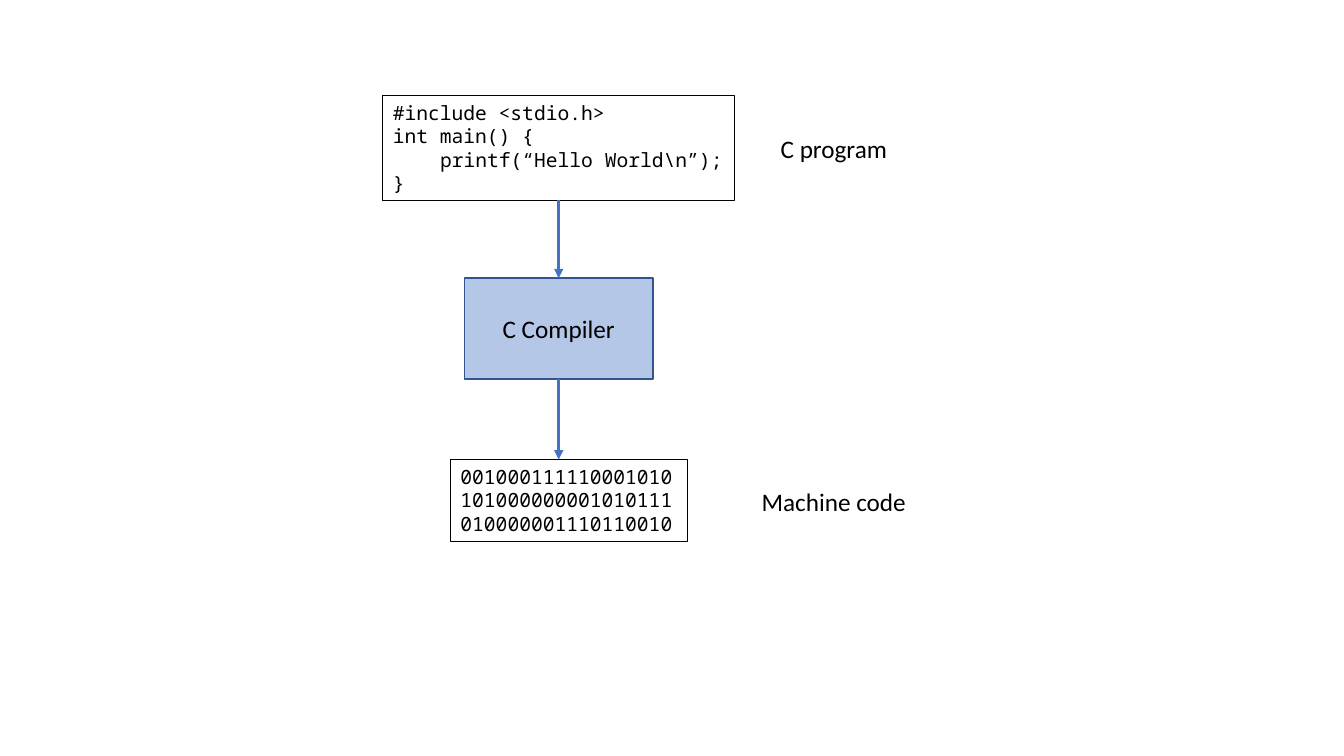
"""Builds a slide showing how a C program is compiled to machine code."""
from dataclasses import dataclass

from lxml import etree
from pptx import Presentation
from pptx import util as u
from pptx.dml.color import RGBColor
from pptx.enum import shapes, text
from pptx.oxml import ns

MONO = "Noto Sans Mono"
SANS = "Calibri"
BLACK = "000000"
ARROW_BLUE = "4472C4"
FLOW_X = 14.08
LABEL_X = 21.04
LABEL_HEIGHT = 1.02


@dataclass
class Stage:
    lines: list[str]
    center: float
    top: float
    width: float
    height: float
    font: str = MONO
    size: float = 14
    fill: str | None = None
    line: str = BLACK
    line_width: float = 0.75
    wrap: bool = True
    grow: bool = True
    align: text.PP_ALIGN = text.PP_ALIGN.LEFT
    anchor: text.MSO_ANCHOR = text.MSO_ANCHOR.TOP
    indents: tuple[float, ...] = ()


@dataclass
class Label:
    caption: str
    top: float
    width: float


STAGES = [
    Stage(["#include <stdio.h>", "int main() {", "printf(“Hello World\\n”);", "}"],
          FLOW_X, 2.41, 8.86, 2.64, wrap=False, indents=(0, 0, 1.19, 0)),
    Stage(["C Compiler"], FLOW_X, 7.01, 4.76, 2.54, font=SANS, size=18,
          fill="B4C7E7", line="325491", line_width=1, grow=False,
          align=text.PP_ALIGN.CENTER, anchor=text.MSO_ANCHOR.MIDDLE),
    Stage(["001000111110001010101000000001010111010000001110110010"],
          14.34, 11.58, 5.97, 2.06),
]
LABELS = [Label("C program", 3.23, 3.23), Label("Machine code", 12.12, 4.19)]


def color(value: str) -> RGBColor:
    return RGBColor.from_string(value)


def write(sp, lines: list[str], *, font: str = SANS, size: float = 18,
          wrap: bool = False, grow: bool = True,
          align: text.PP_ALIGN = text.PP_ALIGN.LEFT,
          anchor: text.MSO_ANCHOR = text.MSO_ANCHOR.TOP,
          indents: tuple[float, ...] = ()) -> None:
    tf = sp.text_frame
    tf.word_wrap = wrap
    tf.auto_size = text.MSO_AUTO_SIZE.SHAPE_TO_FIT_TEXT if grow else text.MSO_AUTO_SIZE.NONE
    tf.vertical_anchor = anchor
    for i, line in enumerate(lines):
        p = tf.add_paragraph() if i else tf.paragraphs[0]
        p.alignment = align
        if indents and indents[i]:
            p._p.get_or_add_pPr().set("marL", str(u.Cm(indents[i])))
        r = p.add_run()
        r.text = line
        r.font.name = font
        r.font.size = u.Pt(size)
        r.font.color.rgb = color(BLACK)


def draw_stage(s, stage: Stage):
    sp = s.shapes.add_shape(
        shapes.MSO_SHAPE.RECTANGLE, u.Cm(stage.center - stage.width / 2),
        u.Cm(stage.top), u.Cm(stage.width), u.Cm(stage.height))
    sp.shadow.inherit = False
    if stage.fill:
        sp.fill.solid()
        sp.fill.fore_color.rgb = color(stage.fill)
    else:
        sp.fill.background()
    sp.line.color.rgb = color(stage.line)
    sp.line.width = u.Pt(stage.line_width)
    write(sp, stage.lines, font=stage.font, size=stage.size, wrap=stage.wrap,
          grow=stage.grow, align=stage.align, anchor=stage.anchor,
          indents=stage.indents)
    return sp


def draw_label(s, label: Label) -> None:
    sp = s.shapes.add_textbox(u.Cm(LABEL_X - label.width / 2), u.Cm(label.top),
                              u.Cm(label.width), u.Cm(LABEL_HEIGHT))
    write(sp, [label.caption])


def draw_arrow(s, source, target) -> None:
    x = u.Cm(FLOW_X)
    arrow = s.shapes.add_connector(shapes.MSO_CONNECTOR.STRAIGHT, x,
                                   source.top + source.height, x, target.top)
    arrow.begin_connect(source, 2)
    if abs(target.left + target.width // 2 - x) < u.Cm(0.05):
        arrow.end_connect(target, 0)
    arrow.line.color.rgb = color(ARROW_BLUE)
    arrow.line.width = u.Pt(2.25)
    etree.SubElement(arrow.line._get_or_add_ln(), ns.qn("a:tailEnd"), type="triangle")
    etree.SubElement(arrow._element.spPr, ns.qn("a:effectLst"))


def main() -> None:
    prs = Presentation()
    prs.slide_width, prs.slide_height = u.Cm(33.87), u.Cm(19.05)
    s = prs.slides.add_slide(prs.slide_layouts[6])
    boxes = [draw_stage(s, stage) for stage in STAGES]
    for source, target in zip(boxes, boxes[1:]):
        draw_arrow(s, source, target)
    for label in LABELS:
        draw_label(s, label)
    prs.save("out.pptx")


if __name__ == "__main__":
    main()
